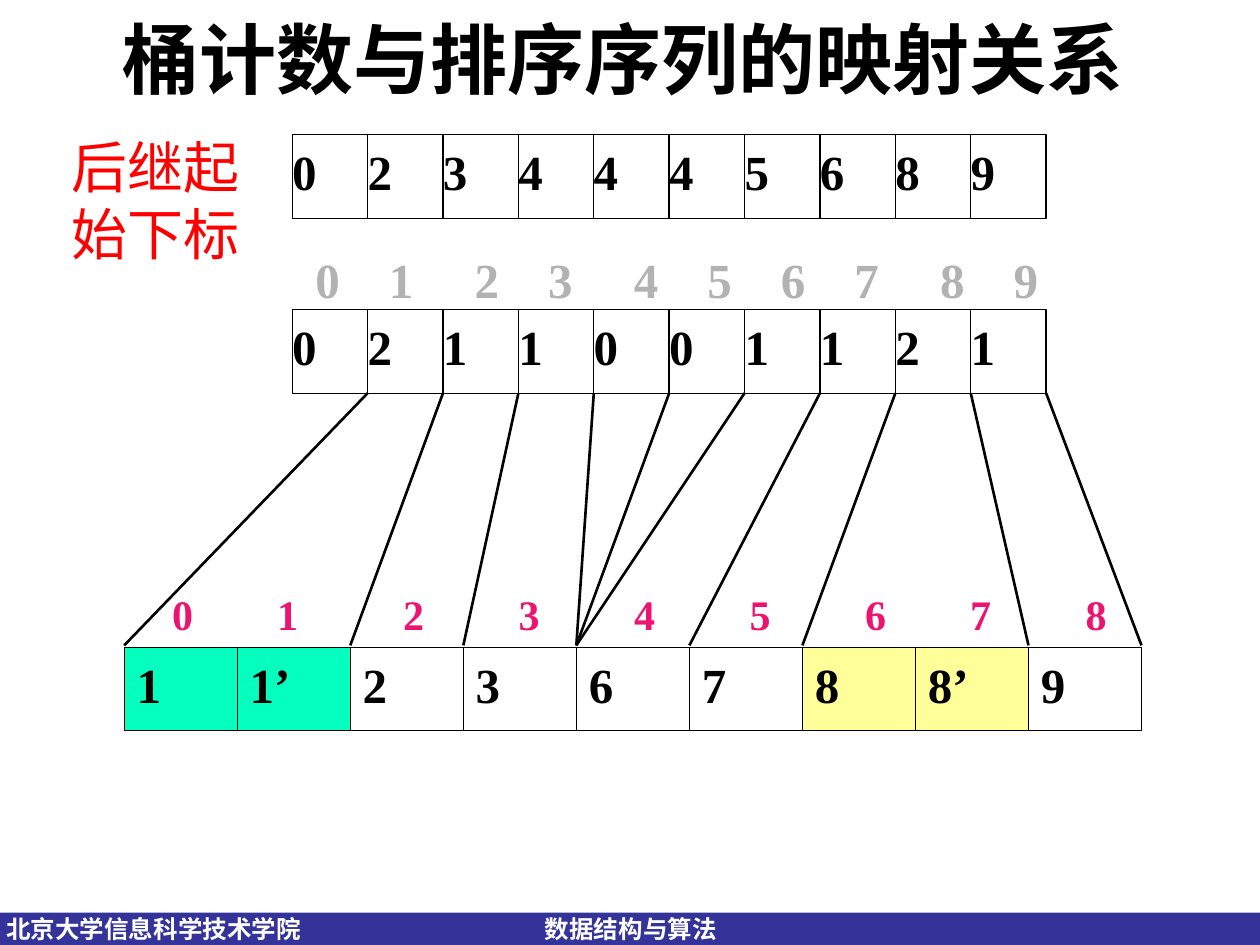
import pptx
import pptx.dml.color
import pptx.enum.shapes
import pptx.enum.text
import pptx.oxml.ns
import pptx.util
from lxml import etree

Pt = pptx.util.Pt
ANCHOR = pptx.enum.text.MSO_ANCHOR
ALIGN = pptx.enum.text.PP_ALIGN
qn = pptx.oxml.ns.qn

SERIF, SANS, HEAVY = "Times New Roman", "Arial", "Noto Sans CJK SC"
BLACK, WHITE, GREEN, YELLOW = "000000", "FFFFFF", "05FFBE", "FFFF99"

START_INDEXES = [0, 2, 3, 4, 4, 4, 5, 6, 8, 9]
BUCKET_COUNTS = [0, 2, 1, 1, 0, 0, 1, 1, 2, 1]
SORTED_RECORDS = ["1", "1’", "2", "3", "6", "7", "8", "8’", "9"]
RECORD_FILLS = [GREEN] * 2 + [WHITE] * 4 + [YELLOW] * 2 + [WHITE]


def color(value):
    return pptx.dml.color.RGBColor.from_string(value)


def set_text(shape, text, size=28, font=SERIF, fill=BLACK, bold=True, align=ALIGN.LEFT,
             anchor=ANCHOR.TOP, insets=(7.2, 3.6, 7.2, 3.6), spacing=1.0, tabs=()):
    frame = shape.text_frame
    frame.word_wrap = True
    frame.vertical_anchor = anchor
    frame.margin_left, frame.margin_top, frame.margin_right, frame.margin_bottom = map(Pt, insets)
    paragraph = frame.paragraphs[0]
    paragraph.alignment = align
    paragraph.line_spacing = spacing
    paragraph.space_before = Pt(0)
    if tabs:
        tab_list = etree.SubElement(paragraph._p.get_or_add_pPr(), qn("a:tabLst"))
        for position in tabs:
            etree.SubElement(tab_list, qn("a:tab"), pos=str(Pt(position)), algn="l")
    run = paragraph.add_run()
    run.text = text
    run.font.size = Pt(size)
    run.font.name = font
    run.font.bold = bold
    run.font.color.rgb = color(fill)
    etree.SubElement(run._r.get_or_add_rPr(), qn("a:ea"), typeface=font)


def add_text(slide, box, text, **style):
    shape = slide.shapes.add_textbox(*map(Pt, box))
    set_text(shape, text, **style)


def add_rectangle(slide, box, fill, line=None):
    shape = slide.shapes.add_shape(pptx.enum.shapes.MSO_SHAPE.RECTANGLE, *map(Pt, box))
    shape.shadow.inherit = False
    shape.fill.solid()
    shape.fill.fore_color.rgb = color(fill)
    if line:
        shape.line.color.rgb = color(line)
        shape.line.width = Pt(0.75)
    else:
        shape.line.fill.background()
    return shape


def add_array(slide, box, values, fills, inset):
    """Divide the box into equal cells, one for each value."""
    left, top, width, height = box
    cell = width / len(values)
    for index, (value, fill) in enumerate(zip(values, fills)):
        shape = add_rectangle(slide, (left + index * cell, top, cell, height), fill, BLACK)
        set_text(shape, str(value), anchor=ANCHOR.MIDDLE, spacing=0.8,
                 insets=(inset, 3.6, inset, 3.6))


def add_index_row(slide, box, gaps, size, **style):
    """Number the cells; gaps before each digit are in quarter-ems."""
    offsets = []
    position = 0
    for gap in gaps:
        position += gap * size / 4
        offsets.append(position)
        position += size / 2
    first = offsets[0]
    add_text(slide, box, "\t".join(str(index) for index in range(len(gaps))), size=size,
             insets=(7.2 + first, 3.6, 7.2, 3.6),
             tabs=[offset - first for offset in offsets[1:]], **style)


def add_mapping(slide, upper_box, lower_box):
    """Join the end of each bucket to its start in the sorted array."""
    upper_left, upper_top, upper_width, upper_height = upper_box
    lower_left, lower_top, lower_width, _ = lower_box
    bucket = upper_width / len(BUCKET_COUNTS)
    record = lower_width / len(SORTED_RECORDS)
    for index, start in enumerate(START_INDEXES):
        connector = slide.shapes.add_connector(
            pptx.enum.shapes.MSO_CONNECTOR.STRAIGHT,
            Pt(upper_left + (index + 1) * bucket), Pt(upper_top + upper_height),
            Pt(lower_left + start * record), Pt(lower_top - 1))
        connector.line.color.rgb = color(BLACK)
        connector.line.width = Pt(1.5)
        etree.SubElement(connector._element.spPr, qn("a:effectLst"))


def add_title(slide, box):
    title = slide.shapes.title
    title.left, title.top, title.width, title.height = map(Pt, box)
    set_text(title, "桶计数与排序序列的映射关系", size=44, font=HEAVY, align=ALIGN.CENTER,
             anchor=ANCHOR.MIDDLE, insets=(14.4, 3.6, 21.6, 3.6))


def add_footer(slide, box):
    left, top, width, height = box
    add_rectangle(slide, box, "333399")
    for offset, label_width, text in [(3.6, 190, "北京大学信息科学技术学院"),
                                      (311.4, 120, "数据结构与算法")]:
        add_text(slide, (left + offset, top - 2.9, label_width, 24.5), text, size=14,
                 font=SANS, fill=WHITE, insets=(0, 3.6, 0, 3.6))


def main():
    presentation = pptx.Presentation()
    presentation.slide_width, presentation.slide_height = Pt(720), Pt(540)
    slide = presentation.slides.add_slide(presentation.slide_layouts[5])

    add_footer(slide, (0, 521.5, 720, 18.5))
    add_title(slide, (0, 0, 720, 65.5))

    # Start indexes
    start_box = (167, 77, 430.8, 47.7)
    add_array(slide, start_box, START_INDEXES, [WHITE] * 10, 0)
    add_text(slide, (33.8, 72, 139, 84.2), "后继起始下标", size=32, font=HEAVY,
             fill="FF0000", bold=False)

    # Bucket counts
    count_box = (167, 177, 430.8, 47.7)
    add_array(slide, count_box, BUCKET_COUNTS, [WHITE] * 10, 0)
    add_index_row(slide, (166, 145.4, 453.6, 61.2), [1, 4, 5, 4, 5, 4, 4, 4, 5, 4],
                  28, fill="B2B2B2", spacing=0.8)

    # Sorted records
    sorted_box = (71, 369.8, 581.3, 47.7)
    add_array(slide, sorted_box, SORTED_RECORDS, RECORD_FILLS, 7.2)
    add_index_row(slide, (79.2, 318.2, 586.8, 64.8), [2, 8, 10, 9, 9, 9, 9, 8, 9],
                  24, fill="ED1370", anchor=ANCHOR.MIDDLE)

    add_mapping(slide, count_box, sorted_box)
    presentation.save("out.pptx")


if __name__ == "__main__":
    main()
